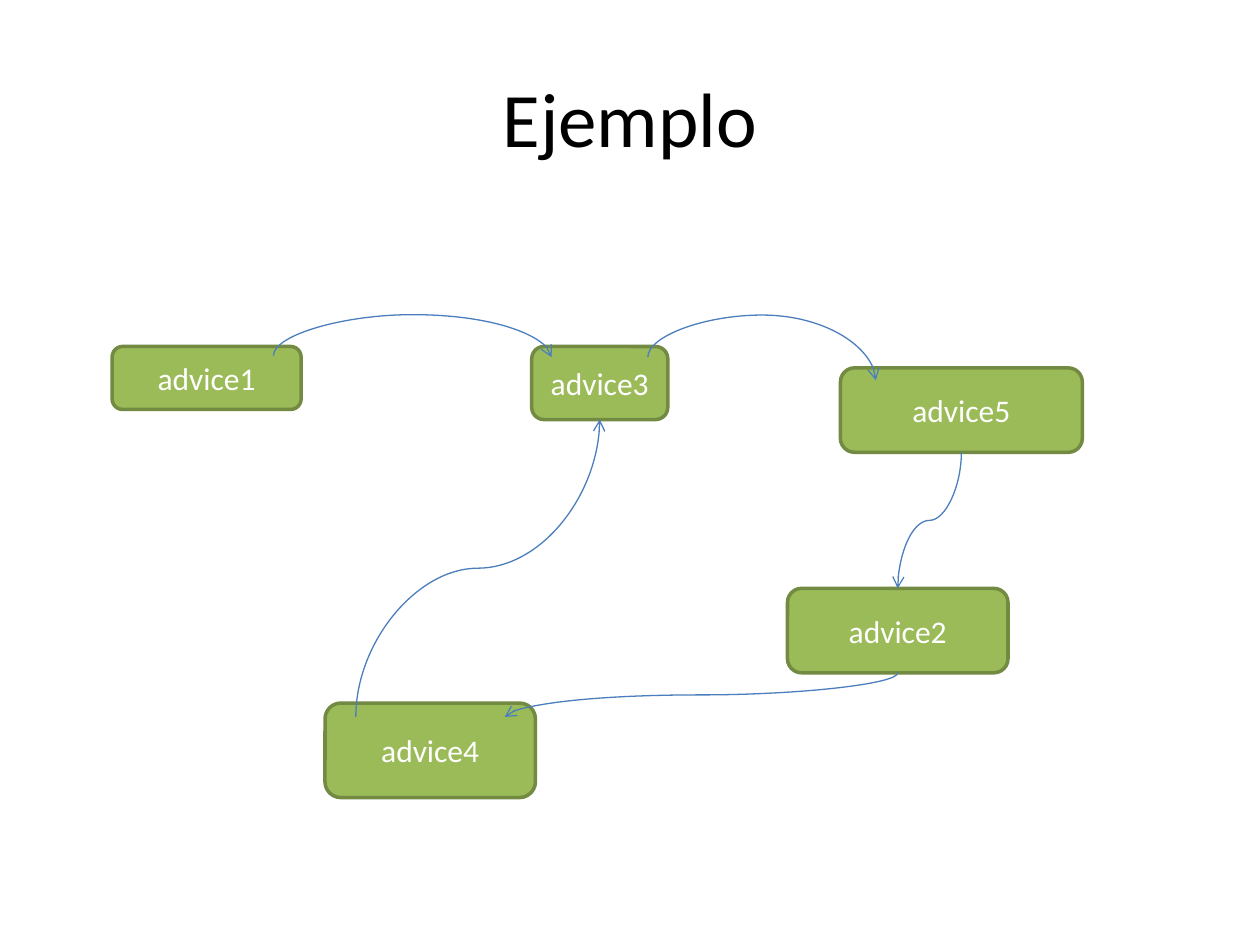
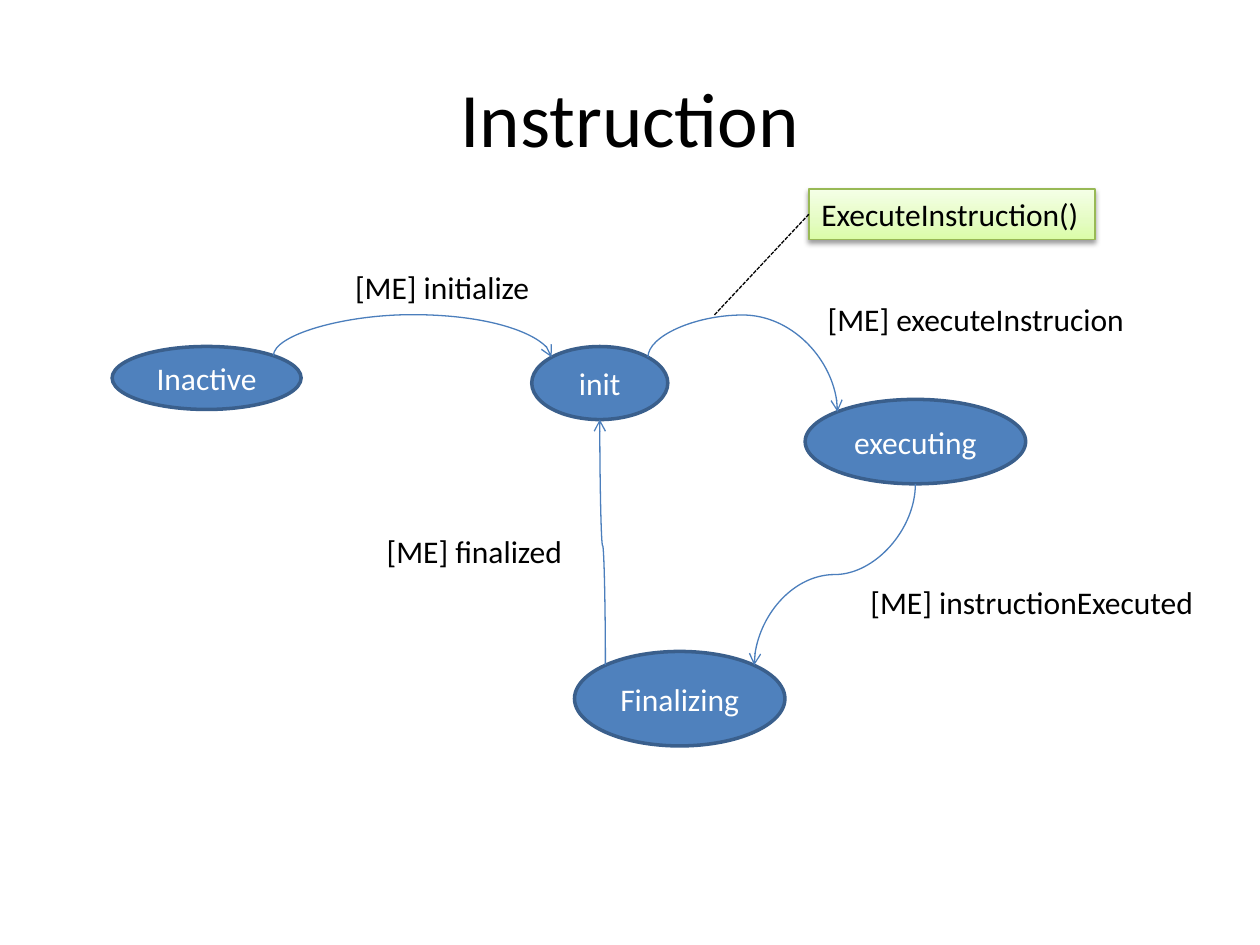
from dataclasses import dataclass
from math import sqrt

from lxml import etree
from pptx import Presentation
from pptx.dml.color import RGBColor
from pptx.enum.dml import MSO_LINE
from pptx.enum.shapes import MSO_CONNECTOR, MSO_SHAPE
from pptx.enum.text import MSO_ANCHOR, PP_ALIGN
from pptx.oxml.ns import qn
from pptx.shapes.autoshape import Shape
from pptx.shapes.connector import Connector
from pptx.slide import Slide
from pptx.util import Inches, Pt

ROUNDED = MSO_SHAPE.ROUNDED_RECTANGLE
OVAL = MSO_SHAPE.OVAL
CURVE = MSO_CONNECTOR.CURVE
STRAIGHT = MSO_CONNECTOR.STRAIGHT
DASHED = MSO_LINE.SQUARE_DOT
CENTER, LEFT = PP_ALIGN.CENTER, PP_ALIGN.LEFT
MIDDLE, TOP = MSO_ANCHOR.MIDDLE, MSO_ANCHOR.TOP
LEFT_SIDE = 1


@dataclass(frozen=True)
class Theme:
    font: str = "Calibri"
    title_size: int = 44
    body_size: int = 18
    text: str = "000000"
    node_text: str = "FFFFFF"
    green: str = "9BBB59"
    green_edge: str = "738A42"
    blue: str = "4F81BD"
    blue_edge: str = "3A5F8C"
    arrow: str = "4B7EBC"
    callout_edge: str = "98B955"
    callout_stops: tuple[tuple[int, str], ...] = (
        (0, "DAFDA7"), (35, "E4FCC2"), (100, "F5FFE7"))
    node_line: float = 2
    thin_line: float = 0.75


THEME = Theme()


@dataclass(frozen=True)
class Box:
    text: str
    left: float
    top: float
    width: float
    height: float = 0.4

    def anchor(self, across: float, down: float) -> tuple[float, float]:
        return self.left + across * self.width, self.top + down * self.height


@dataclass(frozen=True)
class NodeStyle:
    shape: int
    fill: str
    edge: str


@dataclass(frozen=True)
class Arrow:
    """A curve between two anchors that turns at height bend, or halfway."""
    start: tuple[float, float]
    end: tuple[float, float]
    bend: float | None = None


ADVICE = NodeStyle(ROUNDED, THEME.green, THEME.green_edge)
STATE = NodeStyle(OVAL, THEME.blue, THEME.blue_edge)

# Fractions of a box: diagonal points of its inscribed ellipse, and side middles
NEAR = (1 - sqrt(0.5)) / 2
TOP_LEFT, TOP_RIGHT = (NEAR, NEAR), (1 - NEAR, NEAR)
TOP_MIDDLE, BOTTOM_MIDDLE = (0.5, 0), (0.5, 1)
ARC_TOP = 2.5


def write_text(shape: Shape, text: str, size: int, color: str,
               align: PP_ALIGN, anchor: MSO_ANCHOR, wrap: bool = True) -> None:
    frame = shape.text_frame
    frame.word_wrap = wrap
    frame.vertical_anchor = anchor
    para = frame.paragraphs[0]
    para.text = text
    para.alignment = align
    para.font.name = THEME.font
    para.font.size = Pt(size)
    para.font.color.rgb = RGBColor.from_string(color)


def set_line(shape: Shape | Connector, color: str, width: float) -> None:
    shape.line.color.rgb = RGBColor.from_string(color)
    shape.line.width = Pt(width)


def place(box: Box) -> tuple[Inches, ...]:
    return tuple(Inches(n) for n in (box.left, box.top, box.width, box.height))


def add_page(deck: Presentation, title: str) -> Slide:
    page = deck.slides.add_slide(deck.slide_layouts[6])
    heading = page.shapes.add_textbox(*place(Box(title, 0.5, 0.3, 9, 1.25)))
    write_text(heading, title, THEME.title_size, THEME.text, CENTER, MIDDLE)
    return page


def add_node(page: Slide, box: Box, style: NodeStyle) -> None:
    node = page.shapes.add_shape(style.shape, *place(box))
    node.shadow.inherit = False
    node.fill.solid()
    node.fill.fore_color.rgb = RGBColor.from_string(style.fill)
    set_line(node, style.edge, THEME.node_line)
    write_text(node, box.text, THEME.body_size, THEME.node_text, CENTER, MIDDLE)


def add_label(page: Slide, box: Box) -> Shape:
    label = page.shapes.add_textbox(*place(box))
    write_text(label, box.text, THEME.body_size, THEME.text, LEFT, TOP, wrap=False)
    return label


def add_color(parent: etree._Element, color: str) -> etree._Element:
    return etree.SubElement(parent, qn("a:srgbClr"), val=color)


def add_callout(page: Slide, box: Box) -> Shape:
    """Add a label with a rising gradient, an edge and a soft shadow."""
    callout = add_label(page, box)
    callout.fill.gradient()
    callout.fill.gradient_angle = 90
    set_line(callout, THEME.callout_edge, THEME.thin_line)
    callout.shadow.inherit = False
    properties = callout.element.spPr
    stops = properties.find(f"{qn('a:gradFill')}/{qn('a:gsLst')}")
    for stop in list(stops):
        stops.remove(stop)
    for percent, color in THEME.callout_stops:
        add_color(etree.SubElement(stops, qn("a:gs"), pos=str(percent * 1000)), color)
    shadow = etree.SubElement(
        properties.find(qn("a:effectLst")), qn("a:outerShdw"),
        blurRad=str(Pt(3.1)), dist=str(Pt(1.6)), dir="5400000", rotWithShape="0")
    etree.SubElement(add_color(shadow, THEME.text), qn("a:alpha"), val="38000")
    return callout


def add_line(page: Slide, kind: MSO_CONNECTOR, start: tuple[float, float],
             end: tuple[float, float], color: str) -> Connector:
    line = page.shapes.add_connector(kind, *(Inches(n) for n in (*start, *end)))
    set_line(line, color, THEME.thin_line)
    etree.SubElement(line.element.spPr, qn("a:effectLst"))
    return line


def add_arrow(page: Slide, arrow: Arrow) -> None:
    """Draw a curve that leaves and arrives vertically, as a turned connector."""
    (x1, y1), (x2, y2) = arrow.start, arrow.end
    across, down = x2 - x1, y2 - y1
    line = add_line(page, CURVE, arrow.start, arrow.end, THEME.arrow)
    line.width, line.height = Inches(abs(down)), Inches(abs(across))
    line.left = Inches((x1 + x2 - abs(down)) / 2)
    line.top = Inches((y1 + y2 - abs(across)) / 2)

    properties = line.element.spPr
    frame = properties.find(qn("a:xfrm"))
    quarter_turns = 3 if across * down > 0 else 1
    frame.set("rot", str(quarter_turns * 5400000))
    frame.set("flipH", str(int(across > 0)))
    frame.set("flipV", str(int(down < 0)))

    turn = 0.5 if arrow.bend is None else (arrow.bend - y1) / down
    guides = properties.find(f"{qn('a:prstGeom')}/{qn('a:avLst')}")
    etree.SubElement(guides, qn("a:gd"), name="adj1", fmla=f"val {round(turn * 100000)}")
    etree.SubElement(properties.find(qn("a:ln")), qn("a:tailEnd"), type="arrow")


def add_diagram(page: Slide, nodes: list[Box], style: NodeStyle,
                arrows: list[Arrow]) -> None:
    for node in nodes:
        add_node(page, node, style)
    for arrow in arrows:
        add_arrow(page, arrow)


def build_example(deck: Presentation) -> None:
    page = add_page(deck, "Ejemplo")
    advice1 = Box("advice1", 0.89, 2.75, 1.5, 0.5)
    advice2 = Box("advice2", 6.25, 4.67, 1.75, 0.67)
    advice3 = Box("advice3", 4.22, 2.75, 1.08, 0.58)
    advice4 = Box("advice4", 2.58, 5.58, 1.67, 0.75)
    advice5 = Box("advice5", 6.67, 2.92, 1.92, 0.67)
    add_diagram(page, [advice1, advice3, advice5, advice4, advice2], ADVICE, [
        Arrow(advice1.anchor(*TOP_RIGHT), advice3.anchor(*TOP_LEFT), ARC_TOP),
        Arrow(advice3.anchor(*TOP_RIGHT), advice5.anchor(*TOP_LEFT), ARC_TOP),
        Arrow(advice5.anchor(*BOTTOM_MIDDLE), advice2.anchor(*TOP_MIDDLE)),
        Arrow(advice2.anchor(*BOTTOM_MIDDLE), advice4.anchor(*TOP_RIGHT)),
        Arrow(advice4.anchor(*TOP_LEFT), advice3.anchor(*BOTTOM_MIDDLE)),
    ])


def build_instruction(deck: Presentation) -> None:
    page = add_page(deck, "Instruction")
    inactive = Box("Inactive", 0.89, 2.75, 1.5, 0.5)
    init = Box("init", 4.22, 2.75, 1.08, 0.58)
    executing = Box("executing", 6.39, 3.17, 1.75, 0.67)
    finalizing = Box("Finalizing", 4.56, 5.17, 1.67, 0.75)
    add_diagram(page, [inactive, init, executing, finalizing], STATE, [
        Arrow(inactive.anchor(*TOP_RIGHT), init.anchor(*TOP_LEFT), ARC_TOP),
        Arrow(init.anchor(*TOP_RIGHT), executing.anchor(*TOP_LEFT), ARC_TOP),
        Arrow(executing.anchor(*BOTTOM_MIDDLE), finalizing.anchor(*TOP_RIGHT)),
        Arrow(finalizing.anchor(*TOP_LEFT), init.anchor(*BOTTOM_MIDDLE), 4.33),
    ])
    for label in (
        Box("[ME] executeInstrucion", 6.47, 2.33, 2.58),
        Box("[ME] instructionExecuted", 6.81, 4.58, 2.79),
        Box("[ME] finalized", 2.97, 4.17, 1.61),
        Box("[ME] initialize", 2.72, 2.08, 1.6),
    ):
        add_label(page, label)

    action = Box("ExecuteInstruction()", 6.42, 1.5, 2.27)
    callout = add_callout(page, action)
    leader = add_line(page, STRAIGHT, action.anchor(0, 0.5), (5.67, ARC_TOP), THEME.text)
    leader.line.dash_style = DASHED
    leader.begin_connect(callout, LEFT_SIDE)


def main() -> None:
    deck = Presentation()
    deck.slide_width, deck.slide_height = Inches(10), Inches(7.5)
    build_example(deck)
    build_instruction(deck)
    deck.save("out.pptx")


if __name__ == "__main__":
    main()
